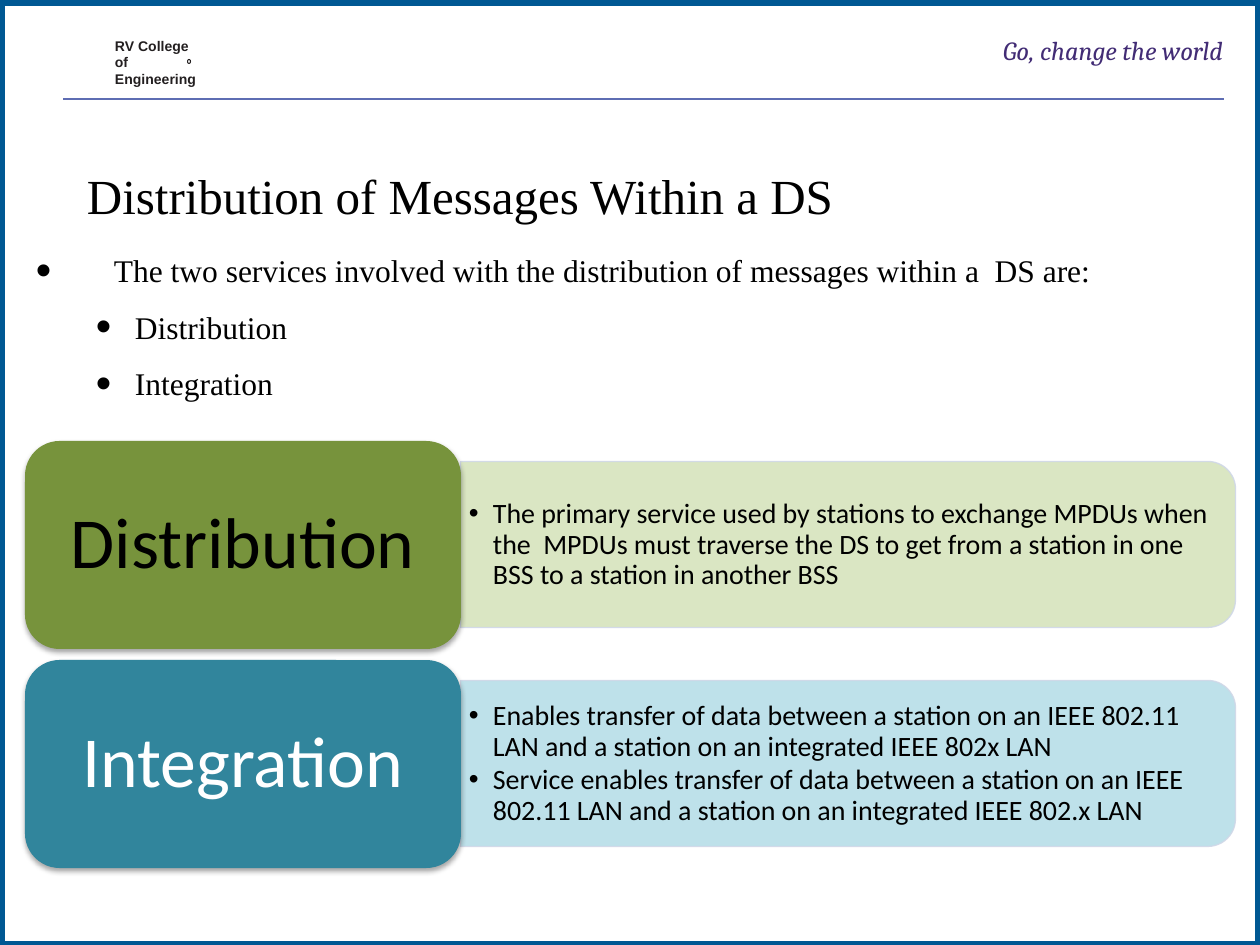
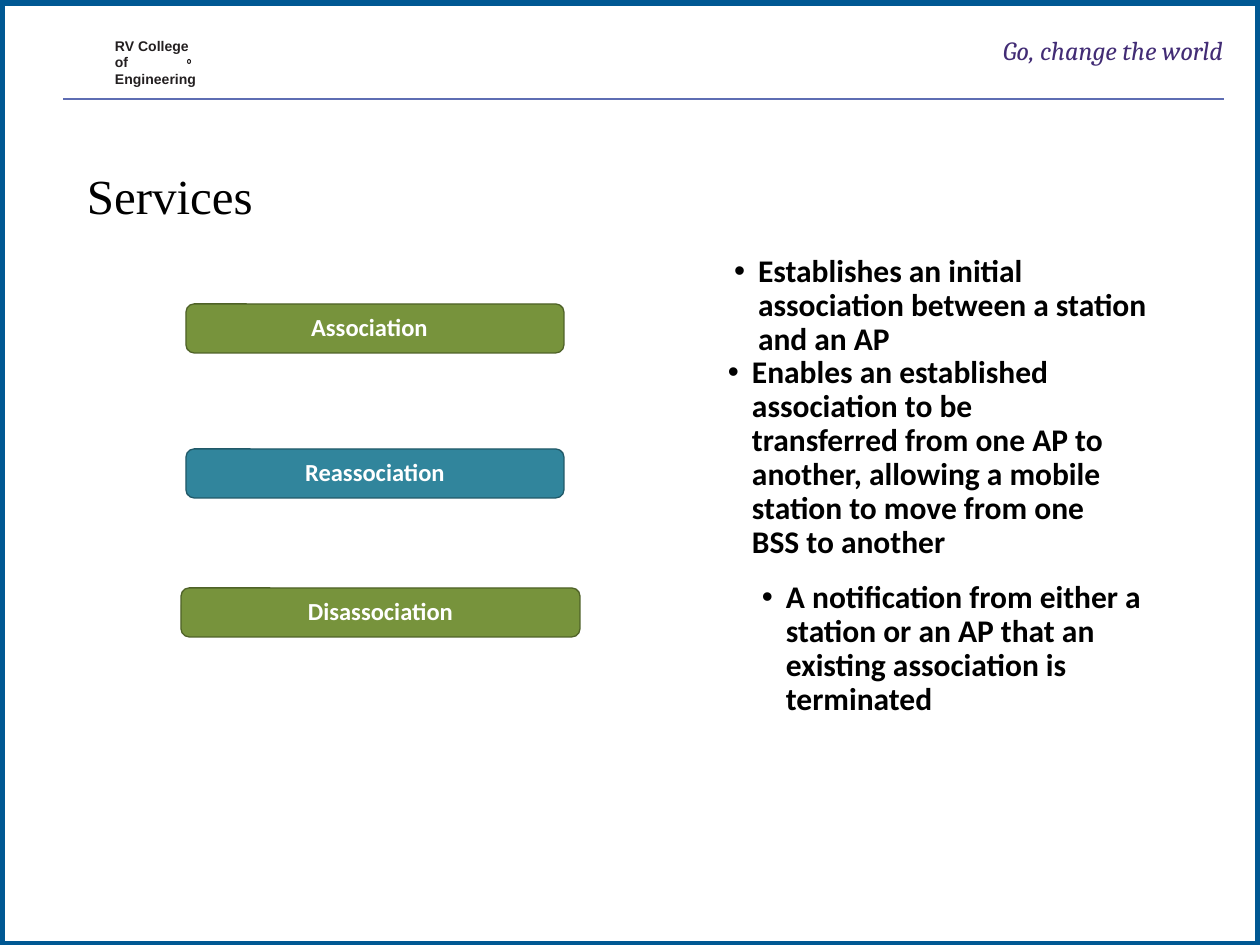
import pptx
import pptx.util
import pptx.dml.color
import pptx.enum.shapes
import pptx.enum.text
import pptx.oxml.ns
import lxml.etree

Pt = pptx.util.Pt
SHAPE = pptx.enum.shapes.MSO_SHAPE
ALIGN = pptx.enum.text.PP_ALIGN
ANCHOR = pptx.enum.text.MSO_ANCHOR
qn = pptx.oxml.ns.qn
rgb = pptx.dml.color.RGBColor.from_string

EMU_PER_PX = 914400 / 126
GREEN, TEAL = "77933C", "31859C"
BLACK, WHITE, INK = "000000", "FFFFFF", "231F20"


def px(*lengths):
    return [round(n * EMU_PER_PX) for n in lengths]


def write(tf, paras, size, font, color, bold=False, italic=False, align=ALIGN.LEFT,
          anchor=ANCHOR.TOP, insets=(0, 1, 0, 0), spacing=1.0, before=0, after=0, bullet=100):
    tf.word_wrap = True
    tf.vertical_anchor = anchor
    tf.margin_left, tf.margin_top, tf.margin_right, tf.margin_bottom = px(*insets)
    for i, (text, level, left, hang) in enumerate(paras):
        p = tf.paragraphs[0] if i == 0 else tf.add_paragraph()
        p.alignment, p.level, p.line_spacing = align, level, spacing
        p.space_before = Pt(before if i else 0)
        p.space_after = Pt(after)
        pPr = p._p.get_or_add_pPr()
        pPr.set("marL", str(px(left)[0]))
        pPr.set("indent", str(px(-hang)[0]))
        if hang:
            lxml.etree.SubElement(pPr, qn("a:buSzPct")).set("val", str(bullet * 1000))
            lxml.etree.SubElement(pPr, qn("a:buFont")).set("typeface", "Arial")
            lxml.etree.SubElement(pPr, qn("a:buChar")).set("char", "•")
        r = p.add_run()
        r.text = text
        r.font.size, r.font.name = Pt(size), font
        r.font.bold, r.font.italic = bold, italic
        r.font.color.rgb = rgb(color)


prs = pptx.Presentation()
prs.slide_width, prs.slide_height = px(1260, 945)

slides = []
for title in ("Distribution of Messages Within a DS", "Services"):
    s = prs.slides.add_slide(prs.slide_layouts[6])
    slides.append(s)

    frame = s.shapes.add_shape(SHAPE.RECTANGLE, *px(0, 1, 1260, 945))
    frame.shadow.inherit = False
    frame.fill.solid()
    frame.fill.fore_color.rgb = rgb(WHITE)
    frame.line.color.rgb = rgb("005893")
    frame.line.width = Pt(6)

    rule = s.shapes.add_connector(pptx.enum.shapes.MSO_CONNECTOR.STRAIGHT, *px(63, 99, 1224, 99))
    rule.line.color.rgb = rgb("5E6DB3")
    rule.line.width = Pt(1.25)
    lxml.etree.SubElement(rule._element.spPr, qn("a:effectLst"))

    mark = s.shapes.add_shape(SHAPE.DONUT, *px(187, 59, 4, 5))
    mark.shadow.inherit = False
    mark.fill.solid()
    mark.fill.fore_color.rgb = rgb(INK)
    mark.line.fill.background()

    college = s.shapes.add_textbox(*px(114, 37, 86, 50))
    write(college.text_frame, [("RV College of", 0, 1, 0), ("Engineering", 0, 1, 0)],
          8, "Arial", INK, bold=True, spacing=Pt(9.1), before=0.7)
    heading = s.shapes.add_textbox(*px(86, 135, 994, 79))
    write(heading.text_frame, [(title, 0, 1, 0)], 28, "Times New Roman", BLACK, spacing=1.5)
    motto = s.shapes.add_textbox(*px(993, 34, 230, 63))
    write(motto.text_frame, [("Go, change the world", 0, 0, 0)], 15, "Cambria", "422C75",
          italic=True, align=ALIGN.RIGHT, insets=(0, 0, 0, 0))

s = slides[0]
intro = s.shapes.add_textbox(*px(33, 231, 1099, 173))
write(intro.text_frame, [
    ("The two services involved with the distribution of messages within a  DS are:", 0, 81, 78),
    ("Distribution", 1, 102, 39),
    ("Integration", 1, 102, 39),
], 18, "Times New Roman", BLACK, spacing=1.5, bullet=140)

services = [
    ("Distribution", GREEN, BLACK, "D7E4BD", [
        "The primary service used by stations to exchange MPDUs when the  MPDUs must "
        "traverse the DS to get from a station in one BSS to a station in another BSS"]),
    ("Integration", TEAL, WHITE, "B7DEE8", [
        "Enables transfer of data between a station on an IEEE 802.11 LAN and a station "
        "on an integrated IEEE 802x LAN",
        "Service enables transfer of data between a station on an IEEE 802.11 LAN and a "
        "station on an integrated IEEE 802.x LAN"]),
]
for row, (name, fill, ink, tint, points) in enumerate(services):
    top = 441 + row * 219
    panel = s.shapes.add_shape(SHAPE.ROUND_2_SAME_RECTANGLE, *px(765, top - 284, 166, 775))
    panel.rotation = 90
    panel.shadow.inherit = False
    panel.fill.solid()
    panel.fill.fore_color.rgb = rgb(tint)
    panel.line.color.rgb = rgb("D0D8E8")
    panel.line.width = Pt(0.75)
    for clr in panel._element.spPr.iter(qn("a:srgbClr")):
        lxml.etree.SubElement(clr, qn("a:alpha")).set("val", "90000")

    detail = s.shapes.add_textbox(*px(460, top + 29, 766, 150))
    write(detail.text_frame, [(point, 1, 24, 24) for point in points], 16, "Calibri", BLACK,
          anchor=ANCHOR.MIDDLE, insets=(9, 4, 9, 4), spacing=0.9, after=2)

    label = s.shapes.add_shape(SHAPE.ROUNDED_RECTANGLE, *px(25, top, 436, 208))
    label.shadow.inherit = False
    label.fill.solid()
    label.fill.fore_color.rgb = rgb(fill)
    label.line.fill.background()
    shadow = lxml.etree.SubElement(label._element.spPr.find(qn("a:effectLst")), qn("a:outerShdw"),
                                   blurRad="40000", dist="23000", dir="5400000", rotWithShape="0")
    clr = lxml.etree.SubElement(shadow, qn("a:srgbClr"), val=BLACK)
    lxml.etree.SubElement(clr, qn("a:alpha"), val="35000")
    write(label.text_frame, [(name, 0, 0, 0)], 41, "Calibri", ink, align=ALIGN.CENTER,
          anchor=ANCHOR.MIDDLE, insets=(21, 11, 21, 11), spacing=0.9)

s = slides[1]
steps = [
    ("Association", GREEN, "4F6228", (186, 304, 378, 49), 19, (697, 251, 483, 68),
     "Establishes an initial association between a station and an AP"),
    ("Reassociation", TEAL, "215968", (186, 449, 378, 49), 8, (691, 352, 441, 246),
     "Enables an established association to be transferred from one AP to another, "
     "allowing a mobile station to move from one BSS to another"),
    ("Disassociation", GREEN, "4F6228", (181, 588, 399, 49), 8, (725, 577, 441, 142),
     "A notification from either a station or an AP that an existing association is terminated"),
]
for name, fill, edge, label_box, right_inset, detail_box, point in steps:
    label = s.shapes.add_shape(SHAPE.ROUNDED_RECTANGLE, *px(*label_box))
    label.shadow.inherit = False
    label.fill.solid()
    label.fill.fore_color.rgb = rgb(fill)
    label.line.color.rgb = rgb(edge)
    label.line.width = Pt(0.75)
    write(label.text_frame, [(name, 0, 0, 0)], 14, "Calibri", WHITE, bold=True,
          align=ALIGN.CENTER, anchor=ANCHOR.MIDDLE, insets=(8, 8, right_inset, 8), spacing=0.9)

    detail = s.shapes.add_textbox(*px(*detail_box))
    write(detail.text_frame, [(point, 1, 24, 24)], 18, "Calibri", BLACK, bold=True,
          insets=(37, 4, 18, 4), spacing=0.9)

prs.save("out.pptx")
